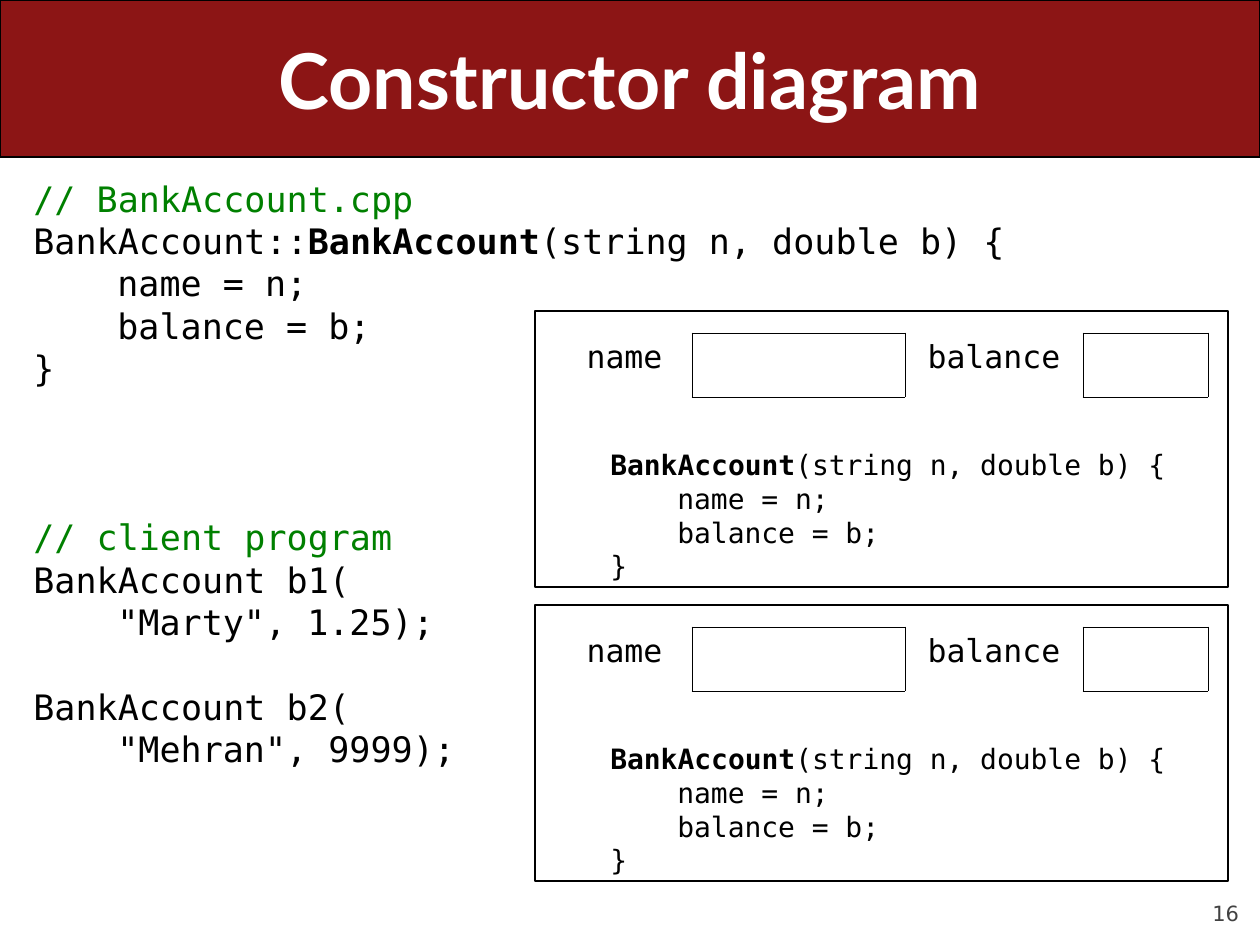
import pptx
import pptx.dml.color
import pptx.enum.shapes
import pptx.enum.text
import pptx.oxml
import pptx.oxml.ns
import pptx.util

PX = 914400 // 126
MONO = "DejaVu Sans Mono"
COLORS = {"banner": "8C1515", "white": "FFFFFF", "black": "000000",
          "comment": "008000", "number": "424242"}
SHAPES = pptx.enum.shapes.MSO_SHAPE
ALIGN = pptx.enum.text.PP_ALIGN
ANCHOR = pptx.enum.text.MSO_ANCHOR

# Each code line: indent level, blank lines above, runs of (text, colour, bold)
SOURCE_CODE = [
    (0, 0, [("// BankAccount.cpp", "comment", False)]),
    (0, 0, [("BankAccount::", "black", False), ("BankAccount", "black", True),
            ("(string n, double b) {", "black", False)]),
    (1, 0, [("name = n;", "black", False)]),
    (1, 0, [("balance = b;", "black", False)]),
    (0, 0, [("}", "black", False)]),
    (0, 3, [("// client program", "comment", False)]),
    (0, 0, [("BankAccount b1(", "black", False)]),
    (1, 0, [('"Marty", 1.25);', "black", False)]),
    (0, 1, [("BankAccount b2(", "black", False)]),
    (1, 0, [('"Mehran", 9999);', "black", False)]),
]
CONSTRUCTOR_CODE = [
    (0, 0, [("BankAccount", "black", True),
            ("(string n, double b) {", "black", False)]),
    *SOURCE_CODE[2:5],
]


def px(n):
    return pptx.util.Emu(n * PX)


def rgb(name):
    return pptx.dml.color.RGBColor.from_string(COLORS[name])


def add_run(p, text, size, color, bold=False, font=MONO):
    r = p.add_run()
    r.text = text
    r.font.size = pptx.util.Pt(size)
    r.font.name = font
    r.font.bold = bold
    r.font.color.rgb = rgb(color)


def add_box(s, kind, x, y, w, h, fill):
    sp = s.shapes.add_shape(kind, px(x), px(y), px(w), px(h))
    sp.shadow.inherit = False
    sp.fill.solid()
    sp.fill.fore_color.rgb = rgb(fill)
    sp.line.color.rgb = rgb("black")
    sp.line.width = pptx.util.Pt(0.75)
    return sp


def add_text(s, x, y, w, h, anchor=ANCHOR.TOP):
    tf = s.shapes.add_textbox(px(x), px(y), px(w), px(h)).text_frame
    tf.word_wrap = True
    tf.vertical_anchor = anchor
    return tf


def add_code(tf, lines, size, margin=0, spacing=1.0, before=0, blank=0):
    """Write code lines; margin and the indent step are paragraph indents."""
    step = round(4 * 0.602 * size * 126 / 72)
    for i, (level, blanks, runs) in enumerate(lines):
        p = tf.paragraphs[0] if i == 0 else tf.add_paragraph()
        p.alignment = ALIGN.LEFT
        p.line_spacing = spacing
        p.space_before = pptx.util.Pt(before + blanks * blank)
        pPr = p._p.get_or_add_pPr()
        pPr.set("marL", str(px(margin + level * step)))
        pPr.set("indent", "0")
        for text, color, bold in runs:
            add_run(p, text, size, color, bold)


def set_borders(cell, visible):
    tcPr = cell._tc.get_or_add_tcPr()
    for side in "LRTB":
        paint = (f'<a:solidFill><a:srgbClr val="{COLORS["black"]}"/></a:solidFill>'
                 if side in visible else "<a:noFill/>")
        tcPr.append(pptx.oxml.parse_xml(
            f'<a:ln{side} {pptx.oxml.ns.nsdecls("a")} w="5715">{paint}</a:ln{side}>'))


def add_fields(s, x, y, w, h):
    """Table of labels, each followed by an empty bordered value cell."""
    widths = [135, 213, 178, w - 526]
    frame = s.shapes.add_table(1, len(widths), px(x), px(y), px(w), px(h))
    table = frame.table
    table.first_row = table.horz_banding = False
    table.rows[0].height = px(h)
    fields = [("name", "R"), ("", "LRTB"), ("balance", "LR"), ("", "LRTB")]
    for i, (label, borders) in enumerate(fields):
        table.columns[i].width = px(widths[i])
        cell = table.cell(0, i)
        set_borders(cell, borders)
        cell.fill.background()
        if label:
            p = cell.text_frame.paragraphs[0]
            p.alignment = ALIGN.CENTER
            p.space_before = pptx.util.Pt(4.5)
            add_run(p, label, 18, "black")


def add_object(s, x, y, w, h):
    """One account object: its fields above its constructor."""
    tf = add_box(s, SHAPES.RECTANGLE, x, y, w, h, "white").text_frame
    tf.word_wrap = True
    tf.vertical_anchor = ANCHOR.TOP
    tf.margin_top = px(137)
    add_code(tf, CONSTRUCTOR_CODE, 16, margin=63)
    add_fields(s, x + 22, y + 22, w - 42, 64)


def add_banner(s, x, y, w, h):
    bar = add_box(s, SHAPES.ROUNDED_RECTANGLE, x, y, w, h, "banner")
    bar.adjustments[0] = 0
    p = add_text(s, x + 63, y, w - 126, h, ANCHOR.MIDDLE).paragraphs[0]
    p.alignment = ALIGN.CENTER
    add_run(p, "Constructor diagram", 44, "white", True, "Lato")


def add_slide_number(s, x, y, w, h):
    tf = add_text(s, x, y, w, h, ANCHOR.BOTTOM)
    tf.margin_left = tf.margin_right = tf.margin_top = tf.margin_bottom = 0
    p = tf.paragraphs[0]
    p.alignment = ALIGN.RIGHT
    add_run(p, "16", 12, "number", font="DejaVu Sans")


def main():
    prs = pptx.Presentation()
    prs.slide_width, prs.slide_height = px(1260), px(945)
    s = prs.slides.add_slide(prs.slide_layouts[6])
    add_slide_number(s, 1134, 876, 105, 50)
    add_banner(s, 0, 0, 1260, 157)
    add_code(add_text(s, 21, 179, 1218, 714), SOURCE_CODE, 20,
             spacing=0.8, before=5, blank=24.2)
    for y in (311, 605):
        add_object(s, 535, y, 693, 276)
    prs.save("out.pptx")


if __name__ == "__main__":
    main()
